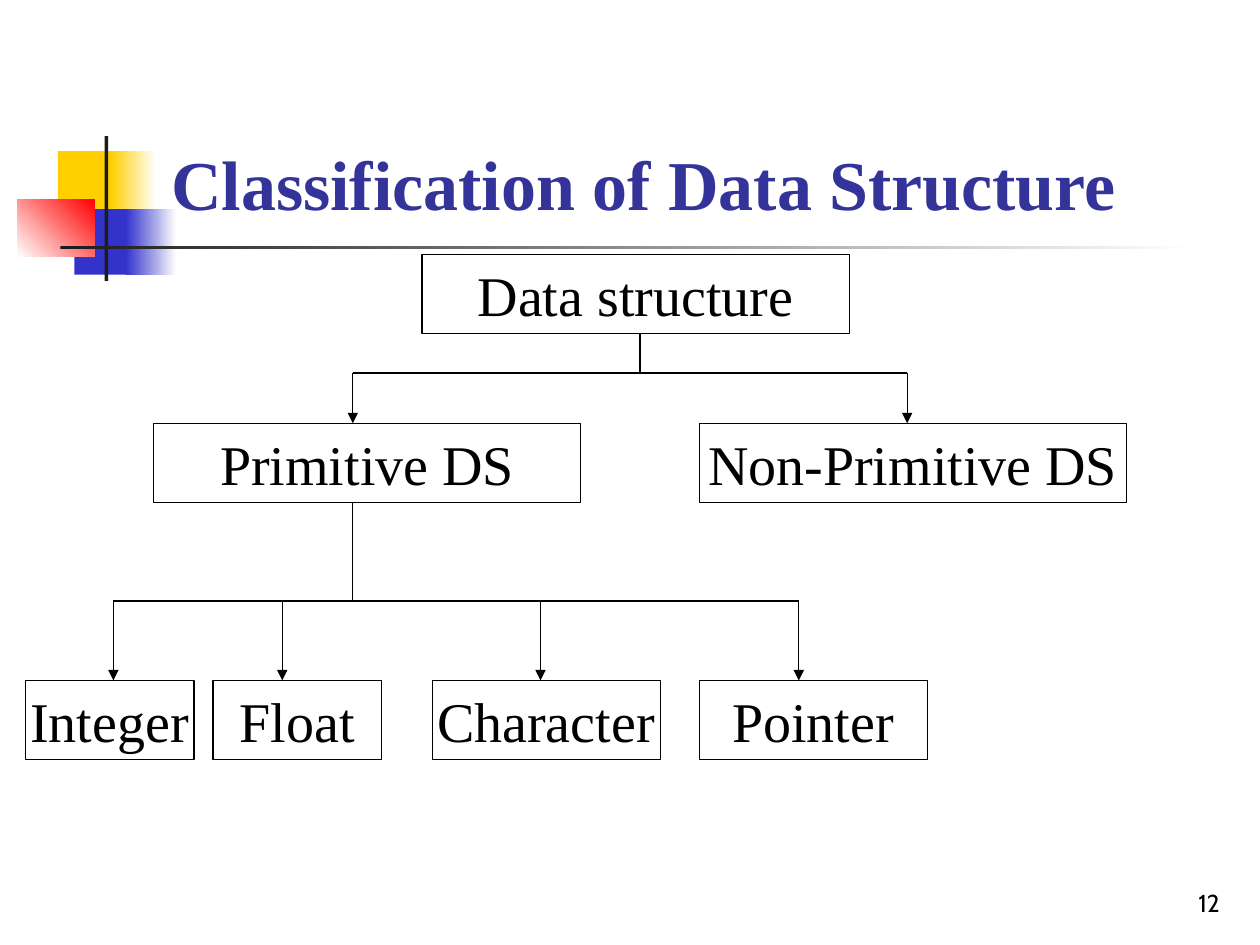
from lxml.etree import SubElement
from pptx import Presentation
from pptx.dml.color import RGBColor
from pptx.enum.shapes import MSO_CONNECTOR as Connector, MSO_SHAPE as Shape
from pptx.enum.text import MSO_ANCHOR as Anchor, MSO_AUTO_SIZE as AutoSize, PP_ALIGN as Align
from pptx.oxml.ns import qn
from pptx.util import Emu, Pt

PX = 9144
BLACK, WHITE, DARK = "000000", "FFFFFF", "1C1C1C"
YELLOW, BLUE, RED, NAVY = "FFCF01", "3333CC", "FF0000", "333399"
SERIF, SANS = "Times New Roman", "Cabin"
BOX_HEIGHT = 63


def px(*lengths):
    return [Emu(length * PX) for length in lengths]


def color(hex_string):
    return RGBColor.from_string(hex_string)


def write(shape, text, size, font_name, hex_string, align, anchor, bold=False):
    frame = shape.text_frame
    frame.text = text
    frame.auto_size = AutoSize.NONE
    frame.vertical_anchor = anchor
    paragraph = frame.paragraphs[0]
    paragraph.alignment = align
    font = paragraph.runs[0].font
    font.size, font.name, font.bold = Pt(size), font_name, bold
    font.color.rgb = color(hex_string)


def add_rectangle(slide, box, fill, fade_to=None, angle=0):
    shape = slide.shapes.add_shape(Shape.RECTANGLE, *px(*box))
    shape.shadow.inherit = False
    shape.line.fill.background()
    if fade_to:
        shape.fill.gradient()
        shape.fill.gradient_angle = angle
        for stop, hex_string in zip(shape.fill.gradient_stops, (fill, fade_to)):
            stop.color.rgb = color(hex_string)
    else:
        shape.fill.solid()
        shape.fill.fore_color.rgb = color(fill)
    return shape


def add_line(slide, start, end, arrow=False):
    connector = slide.shapes.add_connector(Connector.STRAIGHT, *px(*start, *end))
    connector.line.width = Pt(0.75)
    connector.line.color.rgb = color(BLACK)
    if arrow:
        SubElement(connector.line._get_or_add_ln(), qn("a:tailEnd"), type="triangle")
    SubElement(connector.element.spPr, qn("a:effectLst"))


def add_node(slide, text, left, top, width):
    shape = add_rectangle(slide, (left, top, width, BOX_HEIGHT), WHITE)
    shape.line.color.rgb = color(BLACK)
    shape.line.width = Pt(0.75)
    write(shape, text, 32, SERIF, BLACK, Align.CENTER, Anchor.MIDDLE)
    shape.text_frame.word_wrap = False


def add_branch(slide, stem, top, bar, bottom, arrows):
    add_line(slide, (stem, top), (stem, bar))
    add_line(slide, (arrows[0], bar), (arrows[-1], bar))
    for arrow in arrows:
        add_line(slide, (arrow, bar), (arrow, bottom), arrow=True)


def add_ornament(slide, left, top):
    parts = [
        ((32, 12, 48, 52), YELLOW),
        ((74, 12, 36, 52), YELLOW, WHITE),
        ((45, 58, 46, 52), BLUE),
        ((86, 58, 40, 52), BLUE, WHITE),
        ((0, 50, 61, 46), WHITE, RED, 45),
        ((69, 0, 3, 115), DARK),
        ((34, 87, 900, 3), DARK, WHITE),
    ]
    for (x, y, width, height), *paint in parts:
        add_rectangle(slide, (left + x, top + y, width, height), *paint)


def add_title(slide, box):
    title = slide.shapes.title
    title.left, title.top, title.width, title.height = px(*box)
    write(title, "Classification of Data Structure", 40, SERIF, NAVY,
          Align.LEFT, Anchor.BOTTOM, bold=True)
    title.element.getparent().append(title.element)


def add_tree(slide, left, top):
    kinds_top, types_top = top + 134, top + 338
    add_node(slide, "Data structure", left + 315, top, 339)
    add_branch(slide, left + 488, top + BOX_HEIGHT, top + 94, kinds_top,
               [left + 260, left + 700])
    for text, x in (("Primitive DS", 102), ("Non-Primitive DS", 535)):
        add_node(slide, text, left + x, kinds_top, 339)
    add_branch(slide, left + 260, kinds_top + BOX_HEIGHT, top + 275, types_top,
               [left + x for x in (70, 204, 409, 614)])
    for text, x, width in (("Integer", 0, 134), ("Float", 149, 134),
                           ("Character", 323, 181), ("Pointer", 535, 181)):
        add_node(slide, text, left + x, types_top, width)


def add_page_number(slide, box):
    text_box = slide.shapes.add_textbox(*px(*box))
    text_box.text_frame.word_wrap = True
    write(text_box, "12", 14, SANS, BLACK, Align.RIGHT, Anchor.BOTTOM)


def main():
    presentation = Presentation()
    presentation.slide_width, presentation.slide_height = px(1000, 750)
    slide = presentation.slides.add_slide(presentation.slide_layouts[5])
    add_ornament(slide, 14, 108)
    add_title(slide, (126, 23, 852, 160))
    add_tree(slide, 20, 202)
    add_page_number(slide, (770, 683, 208, 50))
    presentation.save("out.pptx")


if __name__ == "__main__":
    main()
